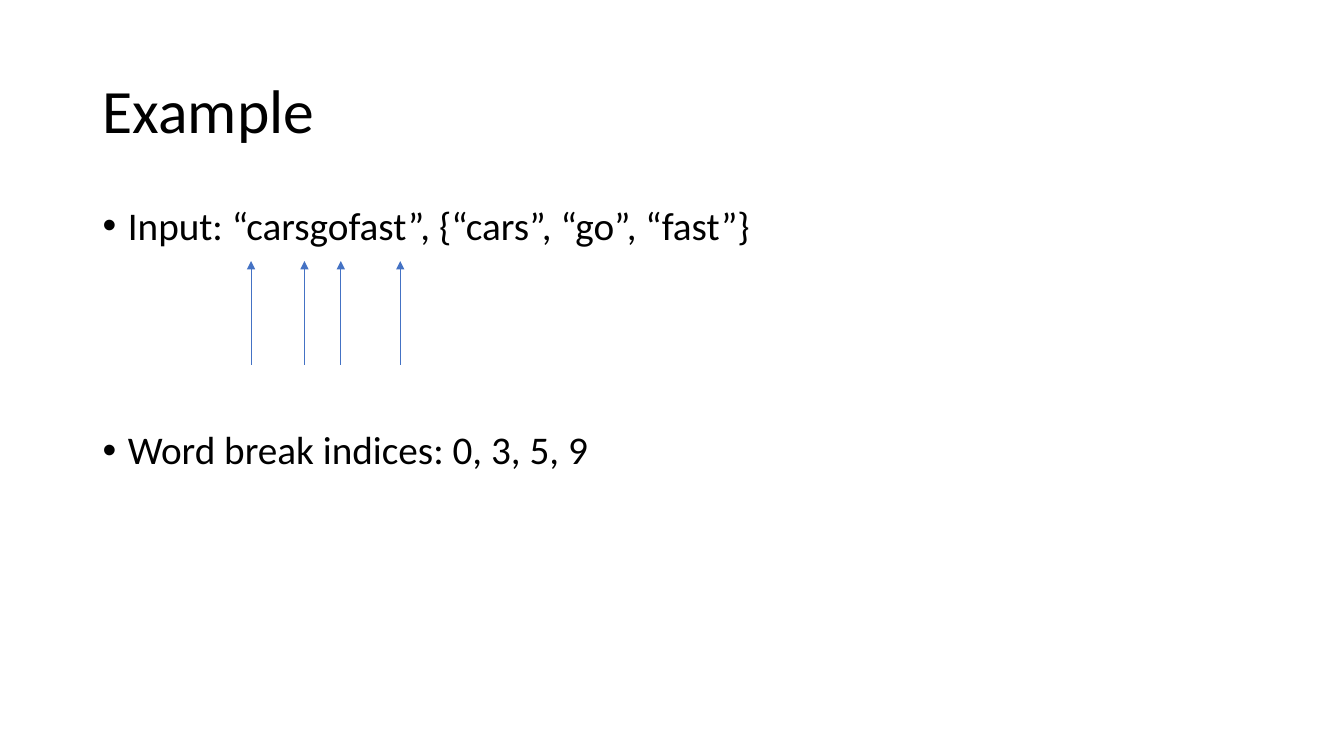
from lxml.etree import SubElement
from pptx import Presentation
from pptx.dml.color import RGBColor
from pptx.enum.shapes import MSO_CONNECTOR
from pptx.enum.text import MSO_ANCHOR
from pptx.oxml.ns import qn
from pptx.util import Inches, Pt

BLACK = RGBColor(0x00, 0x00, 0x00)
BLUE = RGBColor(0x44, 0x72, 0xC4)
FONT = "Calibri"
BULLET_INDENT = Inches(0.25)
BULLETS = [
    ("Input: “carsgofast”, {“cars”, “go”, “fast”}", 0),
    ("Word break indices: 0, 3, 5, 9", 130),
]
BREAK_OFFSETS = [0, 0.53, 0.89, 1.48]


def add_text_frame(slide, left, top, width, height, anchor):
    """Add a wrapping text box and return its text frame."""
    box = slide.shapes.add_textbox(Inches(left), Inches(top), Inches(width), Inches(height))
    box.text_frame.word_wrap = True
    box.text_frame.vertical_anchor = anchor
    return box.text_frame


def write_paragraph(paragraph, text, size):
    """Write one run of black text with tight line spacing."""
    paragraph.line_spacing = 0.9
    run = paragraph.add_run()
    run.text = text
    run.font.name = FONT
    run.font.size = Pt(size)
    run.font.color.rgb = BLACK


def add_bullet(paragraph):
    """Give a paragraph a hanging round bullet."""
    properties = paragraph._p.get_or_add_pPr()
    properties.set("marL", str(BULLET_INDENT))
    properties.set("indent", str(-BULLET_INDENT))
    SubElement(properties, qn("a:buFont"), typeface="Arial")
    SubElement(properties, qn("a:buChar"), char="•")


def add_title(slide, left, top, width, height):
    """Add the slide title, centred vertically in its box."""
    frame = add_text_frame(slide, left, top, width, height, MSO_ANCHOR.MIDDLE)
    write_paragraph(frame.paragraphs[0], "Example", 44)


def add_body(slide, left, top, width, height):
    """Add the bullets, leaving room for the arrows between them."""
    frame = add_text_frame(slide, left, top, width, height, MSO_ANCHOR.TOP)
    for index, (text, space_before) in enumerate(BULLETS):
        paragraph = frame.add_paragraph() if index else frame.paragraphs[0]
        paragraph.space_before = Pt(space_before)
        write_paragraph(paragraph, text, 28)
        add_bullet(paragraph)


def add_break_arrows(slide, left, top, height):
    """Add upward arrows pointing at the word breaks of the input."""
    for offset in BREAK_OFFSETS:
        x = Inches(left + offset)
        arrow = slide.shapes.add_connector(
            MSO_CONNECTOR.STRAIGHT, x, Inches(top + height), x, Inches(top)
        )
        arrow.line.color.rgb = BLUE
        arrow.line.width = Pt(0.5)
        SubElement(arrow.line._get_or_add_ln(), qn("a:tailEnd"), type="triangle")
        SubElement(arrow._element.spPr, qn("a:effectLst"))


def main():
    """Build the word break example slide."""
    presentation = Presentation()
    presentation.slide_width = Inches(13.33)
    presentation.slide_height = Inches(7.5)
    slide = presentation.slides.add_slide(presentation.slide_layouts[6])
    add_title(slide, 0.92, 0.4, 11.5, 1.45)
    add_body(slide, 0.92, 2, 11.5, 4.76)
    add_break_arrows(slide, 2.49, 2.59, 1.03)
    presentation.save("out.pptx")


if __name__ == "__main__":
    main()
